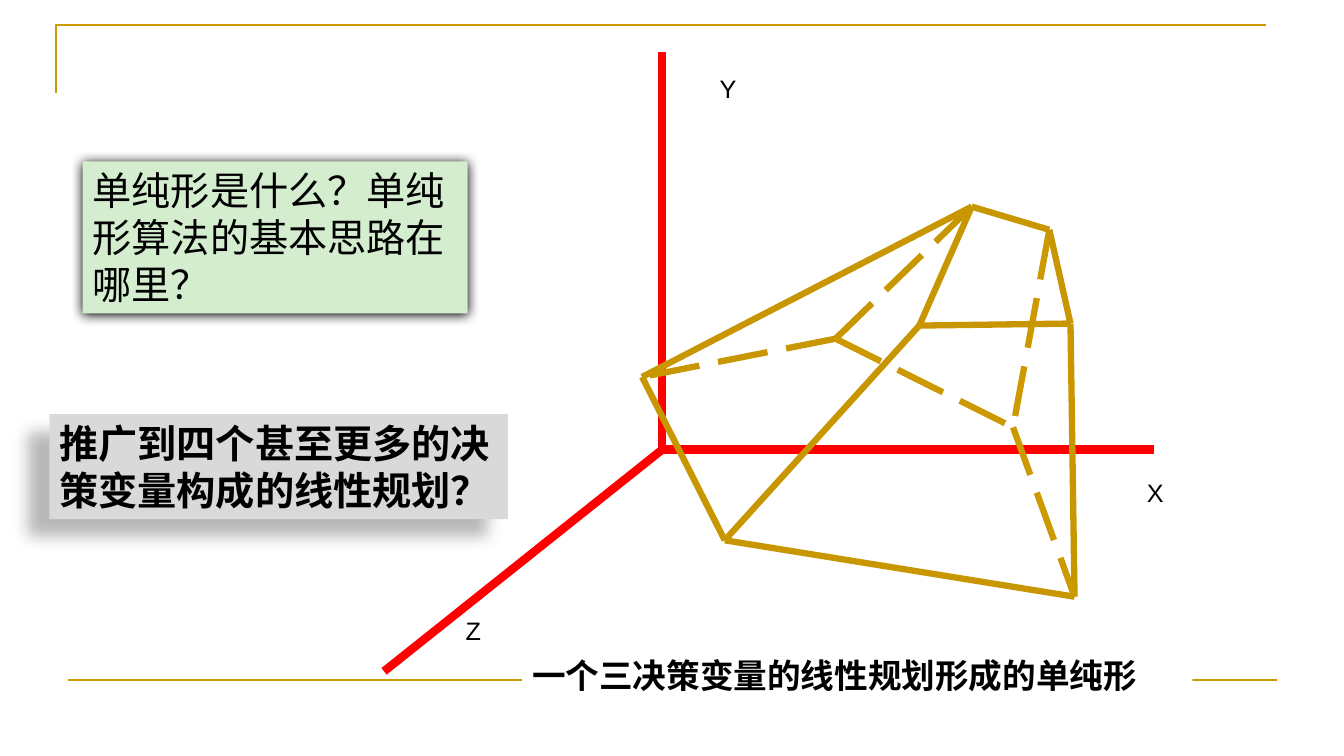
import pptx
import pptx.util
import pptx.dml.color
import pptx.enum.dml
import pptx.enum.shapes
import pptx.enum.text
import pptx.oxml
import pptx.oxml.ns

COLUMNS, ROWS = 133.33, 75  # grid cells are a tenth of an inch
GOLD, DARK_GOLD, RED = "CC9900", "C89600", "FF0000"


def color(hex_value):
    return pptx.dml.color.RGBColor.from_string(hex_value)


class SlideBuilder:
    """Holds the style and current slide; all lengths are grid columns and rows."""

    font_format = {"name": "Arial", "size": pptx.util.Pt(18), "bold": False}

    def __init__(self, deck):
        deck.slide_width = pptx.util.Inches(13.33)
        deck.slide_height = pptx.util.Inches(7.5)
        self.cell_width = deck.slide_width / COLUMNS
        self.cell_height = deck.slide_height / ROWS
        self.slide = deck.slides.add_slide(deck.slide_layouts[6])

    def place(self, *lengths):
        """Turn alternating columns and rows into slide units."""
        cells = (self.cell_width, self.cell_height)
        return [round(length * cells[i % 2]) for i, length in enumerate(lengths)]

    def line(self, start, end, hex_value, width, dashed=False, group=None):
        shapes = (group or self.slide).shapes
        line = shapes.add_connector(
            pptx.enum.shapes.MSO_CONNECTOR.STRAIGHT, *self.place(*start, *end))
        line.line.color.rgb = color(hex_value)
        line.line.width = pptx.util.Pt(width)
        if dashed:
            line.line.dash_style = pptx.enum.dml.MSO_LINE.LONG_DASH
        self.effects(line)

    def corner(self, points, hex_value, width):
        start, *others = [self.place(*point) for point in points]
        builder = self.slide.shapes.build_freeform(*start)
        builder.add_line_segments(others, close=False)
        corner = builder.convert_to_shape()
        corner.shadow.inherit = False
        corner.fill.background()
        corner.line.color.rgb = color(hex_value)
        corner.line.width = pptx.util.Pt(width)

    def effects(self, shape, shadow=None):
        """Set an effect list, empty or with a shadow (blur, distance, angle, opacity)."""
        effects = pptx.oxml.parse_xml(
            f'<a:effectLst {pptx.oxml.ns.nsdecls("a")}/>')
        if shadow:
            blur, distance, angle, opacity = shadow
            effects.append(pptx.oxml.parse_xml(
                f'<a:outerShdw {pptx.oxml.ns.nsdecls("a")} '
                f'blurRad="{pptx.util.Pt(blur)}" dist="{pptx.util.Pt(distance)}" '
                f'dir="{angle * 60000}" algn="ctr" rotWithShape="0">'
                f'<a:srgbClr val="000000"><a:alpha val="{opacity * 1000}"/>'
                '</a:srgbClr></a:outerShdw>'))
        shape._element.spPr.append(effects)

    def fill_text(self, box, text, wrap, **changes):
        frame = box.text_frame
        frame.word_wrap = wrap
        frame.vertical_anchor = pptx.enum.text.MSO_ANCHOR.TOP
        para = frame.paragraphs[0]
        para.alignment = pptx.enum.text.PP_ALIGN.LEFT
        span = para.add_run()
        span.text = text
        for name, value in {**self.font_format, **changes}.items():
            setattr(span.font, name, value)
        span.font.color.rgb = color("000000")

    def label(self, text, *area):
        box = self.slide.shapes.add_textbox(*self.place(*area))
        self.fill_text(box, text, wrap=False)

    def panel(self, text, area, fill, size, bold, shadow=None):
        box = self.slide.shapes.add_shape(
            pptx.enum.shapes.MSO_SHAPE.RECTANGLE, *self.place(*area))
        box.fill.solid()
        box.fill.fore_color.rgb = color(fill)
        box.line.fill.background()
        self.effects(box, shadow)
        self.fill_text(box, text, wrap=True, size=pptx.util.Pt(size), bold=bold)

    def polytope(self, vertices, edges):
        """Draw edges, given as (start, end, colour, dashed), in one group."""
        group = self.slide.shapes.add_group_shape()
        for start, end, hex_value, dashed in edges:
            self.line(vertices[start], vertices[end], hex_value, 4.5, dashed, group)


def main():
    deck = pptx.Presentation()
    page = SlideBuilder(deck)

    page.corner([(5.6, 9.2), (5.6, 2.5), (125.6, 2.5)], GOLD, 1.5)
    page.line((6.7, 67.5), (126.7, 67.5), GOLD, 1.5)

    origin = (65.7, 44.6)
    for axis_end in [(114.5, 44.6), (65.7, 5.2), (38.1, 66.6)]:
        page.line(origin, axis_end, RED, 6)

    vertices = {
        "peak": (96.4, 20.5), "top right": (104.1, 22.8),
        "shoulder": (106.2, 32.1), "front": (91.2, 32.3),
        "left": (63.7, 37.4), "bottom left": (71.9, 53.6),
        "bottom right": (106.6, 59.2),
        "inner": (82.9, 33.6), "inner right": (100.5, 42.4),
    }
    page.polytope(vertices, [
        ("peak", "left", DARK_GOLD, False),
        ("shoulder", "bottom right", DARK_GOLD, False),
        ("front", "bottom left", DARK_GOLD, False),
        ("peak", "inner", DARK_GOLD, True),
        ("top right", "inner right", GOLD, True),
        ("left", "bottom left", DARK_GOLD, False),
        ("inner", "left", DARK_GOLD, True),
        ("inner", "inner right", GOLD, True),
        ("inner right", "bottom right", GOLD, True),
        ("bottom right", "bottom left", DARK_GOLD, False),
        ("peak", "top right", DARK_GOLD, False),
        ("top right", "shoulder", DARK_GOLD, False),
        ("shoulder", "front", DARK_GOLD, False),
        ("front", "peak", DARK_GOLD, False),
    ])

    page.panel("一个三决策变量的线性规划形成的单纯形",
               (51.8, 64.5, 66.5, 5), "FFFFFF", 24, True)
    for axis, left, top in [("Y", 70.4, 6.8), ("X", 112.8, 46.9), ("Z", 45.2, 60.6)]:
        page.label(axis, left, top, 3.7, 4)
    page.panel("单纯形是什么？单纯形算法的基本思路在哪里？",
               (8.2, 16, 38.2, 15.1), "D3EDCE", 28, False, (8.5, 1, 90, 100))
    page.panel("推广到四个甚至更多的决策变量构成的线性规划？",
               (4.9, 41.1, 45.5, 10.4), "D9D9D9", 28, True, (11.8, 19.7, 141, 28))

    deck.save("out.pptx")


if __name__ == "__main__":
    main()
